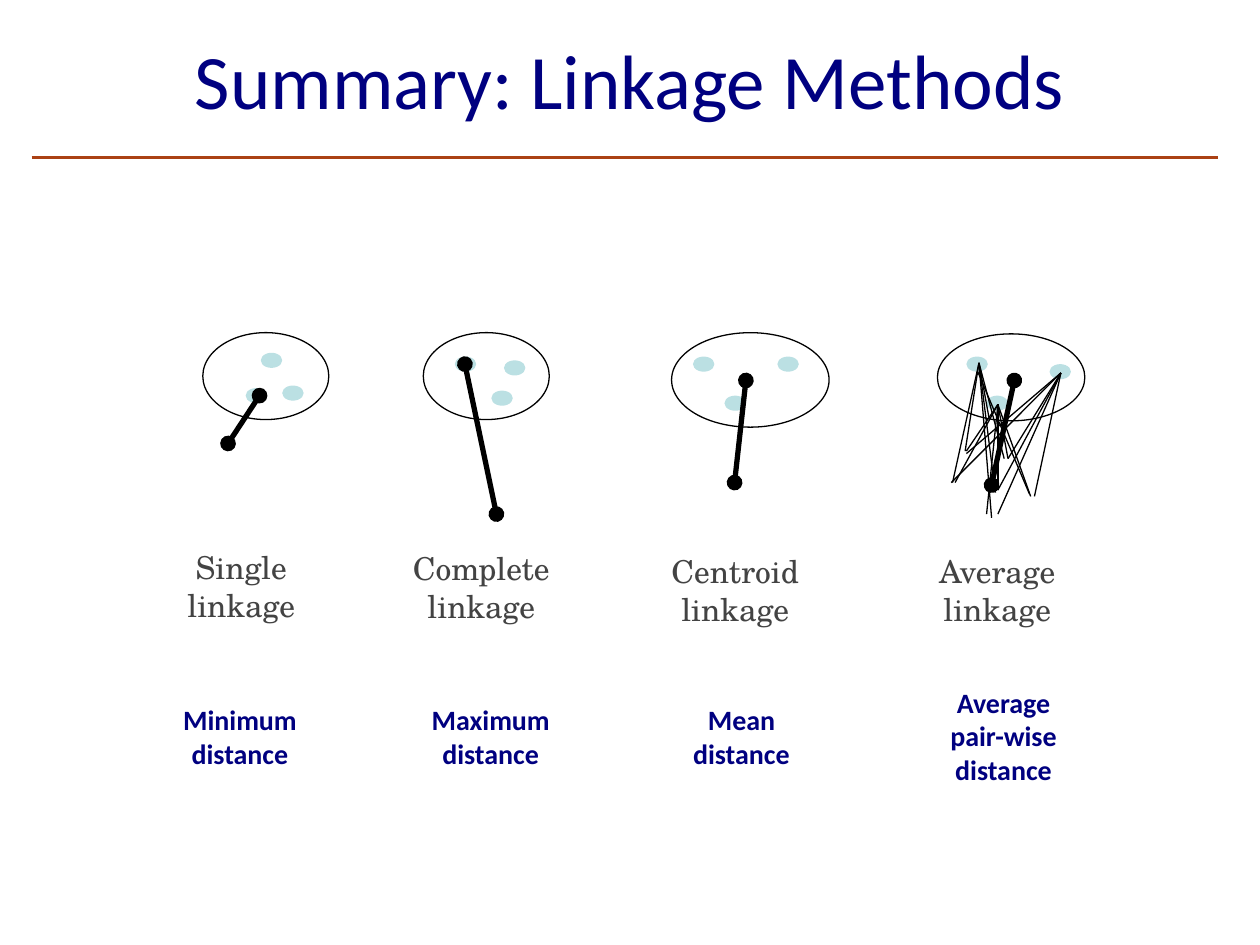
import pptx
import pptx.dml.color
import pptx.enum.shapes
import pptx.enum.text
import pptx.util
from pptx.oxml.ns import qn
from lxml import etree

Inches = pptx.util.Inches
NAVY, GREY, BLACK, RUST, PALE_BLUE = "000080", "434343", "000000", "AB4114", "BBE0E3"
TITLE = {"name": "Calibri", "size": 44, "color": NAVY}
NAME = {"name": "TeX Gyre Schola", "size": 18, "color": GREY}
DISTANCE = {"name": "Calibri", "size": 16, "bold": True, "color": NAVY}
DOT_SIZE = (0.17, 0.12)


def rgb(color):
    return pptx.dml.color.RGBColor.from_string(color)


class SlideBuilder:
    def __init__(self, slide):
        self.slide = slide

    def text(self, box, words, style, anchor="TOP"):
        shape = self.slide.shapes.add_textbox(*map(Inches, box))
        frame = shape.text_frame
        frame.word_wrap = True
        frame.vertical_anchor = pptx.enum.text.MSO_ANCHOR[anchor]
        paragraph = frame.paragraphs[0]
        paragraph.alignment = pptx.enum.text.PP_ALIGN.CENTER
        run = paragraph.add_run()
        run.text = words
        for key, value in style.items():
            if key == "color":
                run.font.color.rgb = rgb(value)
            else:
                setattr(run.font, key, pptx.util.Pt(value) if key == "size" else value)

    def ellipse(self, box, fill=None):
        """Draw a filled dot, or an outlined ellipse when no fill is given."""
        shape = self.slide.shapes.add_shape(
            pptx.enum.shapes.MSO_SHAPE.OVAL, *map(Inches, box))
        shape.shadow.inherit = False
        if fill:
            shape.fill.solid()
            shape.fill.fore_color.rgb = rgb(fill)
            shape.line.fill.background()
        else:
            shape.fill.background()
            shape.line.color.rgb = rgb(BLACK)
            shape.line.width = pptx.util.Pt(0.75)

    def line(self, start, end, color=BLACK, width=0.75, oval_ends=False):
        connector = self.slide.shapes.add_connector(
            pptx.enum.shapes.MSO_CONNECTOR.STRAIGHT, *map(Inches, (*start, *end)))
        connector.line.color.rgb = rgb(color)
        connector.line.width = pptx.util.Pt(width)
        if oval_ends:
            outline = connector.line._get_or_add_ln()
            for tag in ("a:headEnd", "a:tailEnd"):
                etree.SubElement(outline, qn(tag), type="oval")
        etree.SubElement(connector._element.spPr, qn("a:effectLst"))


METHODS = [
    {"name": ("Single linkage", (1.08, 4.3, 1.67, 0.71)),
     "distance": ("Minimum distance", (1.29, 5.53, 1.23, 0.64)),
     "cluster": (1.61, 2.64, 1, 0.69),
     "dots": [(1.95, 3.08), (2.07, 2.8), (2.24, 3.06)],
     "link": ((1.81, 3.52), (2.06, 3.14))},
    {"name": ("Complete linkage", (2.86, 4.31, 1.92, 0.71)),
     "distance": ("Maximum distance", (3.16, 5.53, 1.47, 0.64)),
     "cluster": (3.36, 2.64, 1, 0.69),
     "dots": [(3.9, 3.1), (3.61, 2.83), (4, 2.86)],
     "link": ((3.94, 4.08), (3.69, 2.89))},
    {"name": ("Centroid linkage", (5, 4.33, 1.67, 0.71)),
     "distance": ("Mean distance", (5.27, 5.53, 1.23, 0.64)),
     "cluster": (5.33, 2.64, 1.25, 0.75),
     "dots": [(5.75, 3.14), (6.17, 2.83), (5.5, 2.83)],
     "link": ((5.83, 3.83), (5.92, 3.02))},
    {"name": ("Average linkage", (7.08, 4.33, 1.67, 0.71)),
     "distance": ("Average pair-wise distance", (7.35, 5.39, 1.23, 0.91)),
     "cluster": (7.44, 2.65, 1.17, 0.69),
     "dots": [(7.83, 3.14), (8.33, 2.89), (7.67, 2.83)],
     "link": ((7.87, 3.85), (8.05, 3.02))},
]

# Each point of the upper cluster with the lower points it is paired with
PAIRS = {
    (7.92, 3.21): [(7.83, 4.08), (7.92, 3.89), (7.67, 3.58),
                   (8, 3.64), (8.18, 3.94), (7.58, 3.83)],
    (8.42, 2.96): [(7.67, 3.6), (7.55, 3.83), (7.92, 3.89),
                   (8, 3.64), (8.21, 3.94), (7.92, 4.08)],
    (7.77, 2.88): [(7.66, 3.58), (7.97, 3.64), (7.56, 3.83),
                   (7.85, 3.32), (7.9, 3.91), (7.87, 4.11)],
    (7.76, 2.95): [(8.17, 3.92)],
}


def main():
    presentation = pptx.Presentation()
    presentation.slide_width, presentation.slide_height = Inches(10), Inches(7.5)
    builder = SlideBuilder(presentation.slides.add_slide(presentation.slide_layouts[6]))

    builder.text((0.75, 0, 8.5, 1.25), "Summary: Linkage Methods", TITLE, "MIDDLE")
    builder.line((0.25, 1.25), (9.67, 1.25), RUST, 2.25)

    for method in METHODS:
        for dot in method["dots"]:
            builder.ellipse((*dot, *DOT_SIZE), PALE_BLUE)
        builder.ellipse(method["cluster"])
        builder.line(*method["link"], width=3, oval_ends=True)
        for part, style in (("name", NAME), ("distance", DISTANCE)):
            words, box = method[part]
            builder.text(box, words, style)

    for upper, lower_points in PAIRS.items():
        for lower in lower_points:
            builder.line(lower, upper)

    presentation.save("out.pptx")


if __name__ == "__main__":
    main()
